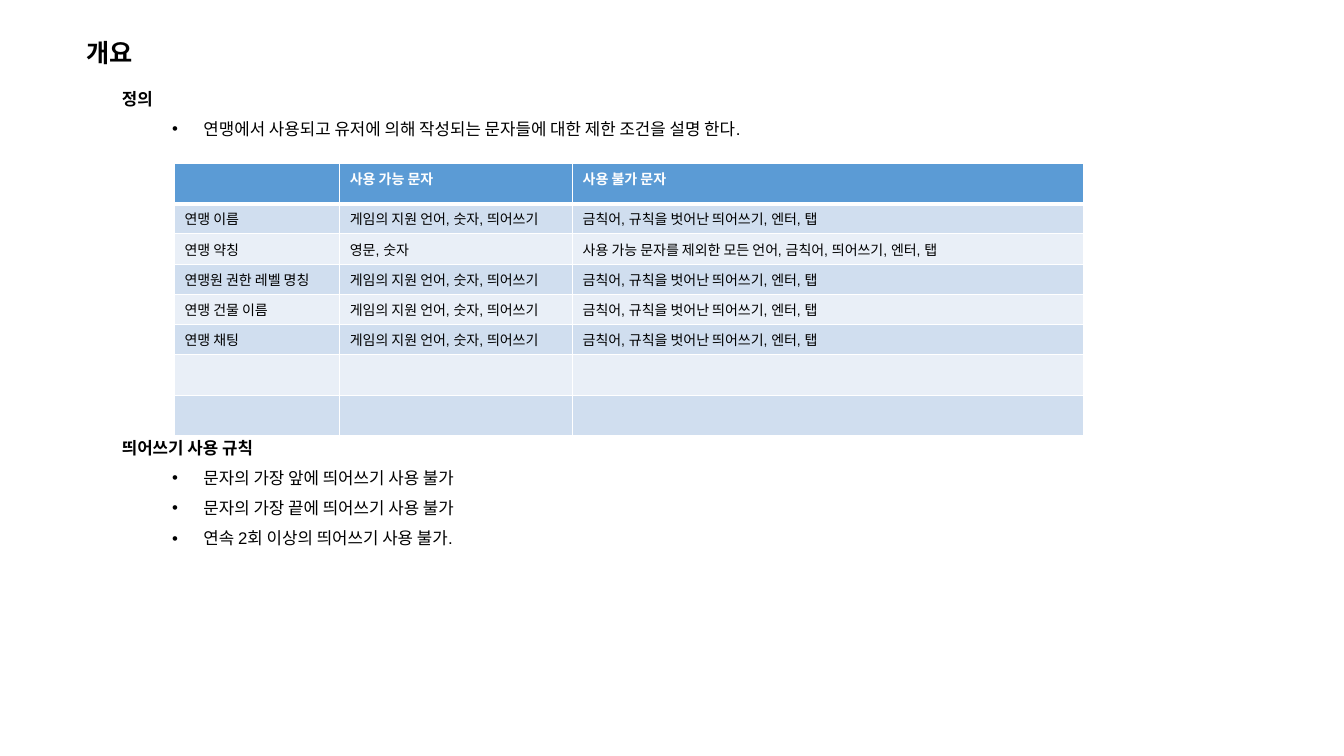
from lxml import etree
from pptx import Presentation
from pptx.dml.color import RGBColor
from pptx.oxml.ns import qn
from pptx.util import Inches, Pt

BLACK = RGBColor(0x00, 0x00, 0x00)
WHITE = RGBColor(0xFF, 0xFF, 0xFF)
HEADER_BLUE = RGBColor(0x5B, 0x9B, 0xD5)
BANDS = [RGBColor(0xD0, 0xDE, 0xEF), RGBColor(0xE9, 0xEF, 0xF7)]
FONT = "Arial"

SECTION_LEFT, SECTION_WIDTH = 1.11, 12.22
COLUMNS = [1.64, 2.31, 5.07]
HEADER_ROW, TEXT_ROW, EMPTY_ROW = 0.38, 0.3, 0.38

ANY_LANGUAGE = "게임의 지원 언어, 숫자, 띄어쓰기"
COMMON_BAN = "금칙어, 규칙을 벗어난 띄어쓰기, 엔터, 탭"
CHARACTER_RULES = [
    ("", "사용 가능 문자", "사용 불가 문자"),
    ("연맹 이름", ANY_LANGUAGE, COMMON_BAN),
    ("연맹 약칭", "영문, 숫자", "사용 가능 문자를 제외한 모든 언어, 금칙어, 띄어쓰기, 엔터, 탭"),
    ("연맹원 권한 레벨 명칭", ANY_LANGUAGE, COMMON_BAN),
    ("연맹 건물 이름", ANY_LANGUAGE, COMMON_BAN),
    ("연맹 채팅", ANY_LANGUAGE, COMMON_BAN),
    ("", "", ""),
    ("", "", ""),
]


def style_runs(paragraph, size, bold, color=BLACK):
    for run in paragraph.runs:
        run.font.name = FONT
        run.font.size = Pt(size)
        run.font.bold = bold
        run.font.color.rgb = color


def add_bullet(paragraph):
    paragraph.level = 1
    properties = paragraph._p.get_or_add_pPr()
    properties.set("marL", str(Inches(0.81)))
    properties.set("indent", str(Inches(-0.31)))
    etree.SubElement(properties, qn("a:buFont")).set("typeface", FONT)
    etree.SubElement(properties, qn("a:buChar")).set("char", "•")


def add_title(slide, left, top, width, height, title):
    frame = slide.shapes.add_textbox(
        Inches(left), Inches(top), Inches(width), Inches(height)).text_frame
    frame.text = title
    style_runs(frame.paragraphs[0], 18, True)


def add_section(slide, left, top, width, height, heading, points):
    """Bold heading followed by its bulleted points."""
    frame = slide.shapes.add_textbox(
        Inches(left), Inches(top), Inches(width), Inches(height)).text_frame
    frame.word_wrap = True
    frame.text = "\n".join([heading, *points])
    for index, paragraph in enumerate(frame.paragraphs):
        paragraph.line_spacing = 1.5
        if index:
            add_bullet(paragraph)
        style_runs(paragraph, 12, index == 0)


def set_borders(cell, bottom_width):
    """White cell borders; must run before the fill, which follows them in the XML."""
    properties = cell._tc.get_or_add_tcPr()
    for side, width in [("L", 1), ("R", 1), ("T", 1), ("B", bottom_width)]:
        line = etree.SubElement(properties, qn(f"a:ln{side}"))
        line.set("w", str(Pt(width)))
        fill = etree.SubElement(line, qn("a:solidFill"))
        etree.SubElement(fill, qn("a:srgbClr")).set("val", str(WHITE))


def row_height(index, texts):
    if index == 0:
        return HEADER_ROW
    return TEXT_ROW if any(texts) else EMPTY_ROW


def add_rules_table(slide, left, top):
    heights = [row_height(i, texts) for i, texts in enumerate(CHARACTER_RULES)]
    table = slide.shapes.add_table(
        len(heights), len(COLUMNS), Inches(left), Inches(top),
        Inches(sum(COLUMNS)), Inches(sum(heights))).table
    for column, width in zip(table.columns, COLUMNS):
        column.width = Inches(width)
    for index, texts in enumerate(CHARACTER_RULES):
        header = index == 0
        table.rows[index].height = Inches(heights[index])
        for cell, text in zip(table.rows[index].cells, texts):
            set_borders(cell, 3 if header else 1)
            cell.fill.solid()
            cell.fill.fore_color.rgb = HEADER_BLUE if header else BANDS[(index - 1) % 2]
            if text:
                cell.text_frame.text = text
                style_runs(cell.text_frame.paragraphs[0], 10, header,
                           WHITE if header else BLACK)


def main():
    deck = Presentation()
    deck.slide_width, deck.slide_height = Inches(13.33), Inches(7.5)
    slide = deck.slides.add_slide(deck.slide_layouts[6])
    add_title(slide, 0.76, 0.32, 0.71, 0.4, "개요")
    add_section(slide, SECTION_LEFT, 0.73, SECTION_WIDTH, 0.71, "정의", [
        "연맹에서 사용되고 유저에 의해 작성되는 문자들에 대한 제한 조건을 설명 한다."])
    add_rules_table(slide, 1.73, 1.62)
    add_section(slide, SECTION_LEFT, 4.19, SECTION_WIDTH, 1.31, "띄어쓰기 사용 규칙", [
        "문자의 가장 앞에 띄어쓰기 사용 불가",
        "문자의 가장 끝에 띄어쓰기 사용 불가",
        "연속 2회 이상의 띄어쓰기 사용 불가."])
    deck.save("out.pptx")


if __name__ == "__main__":
    main()
